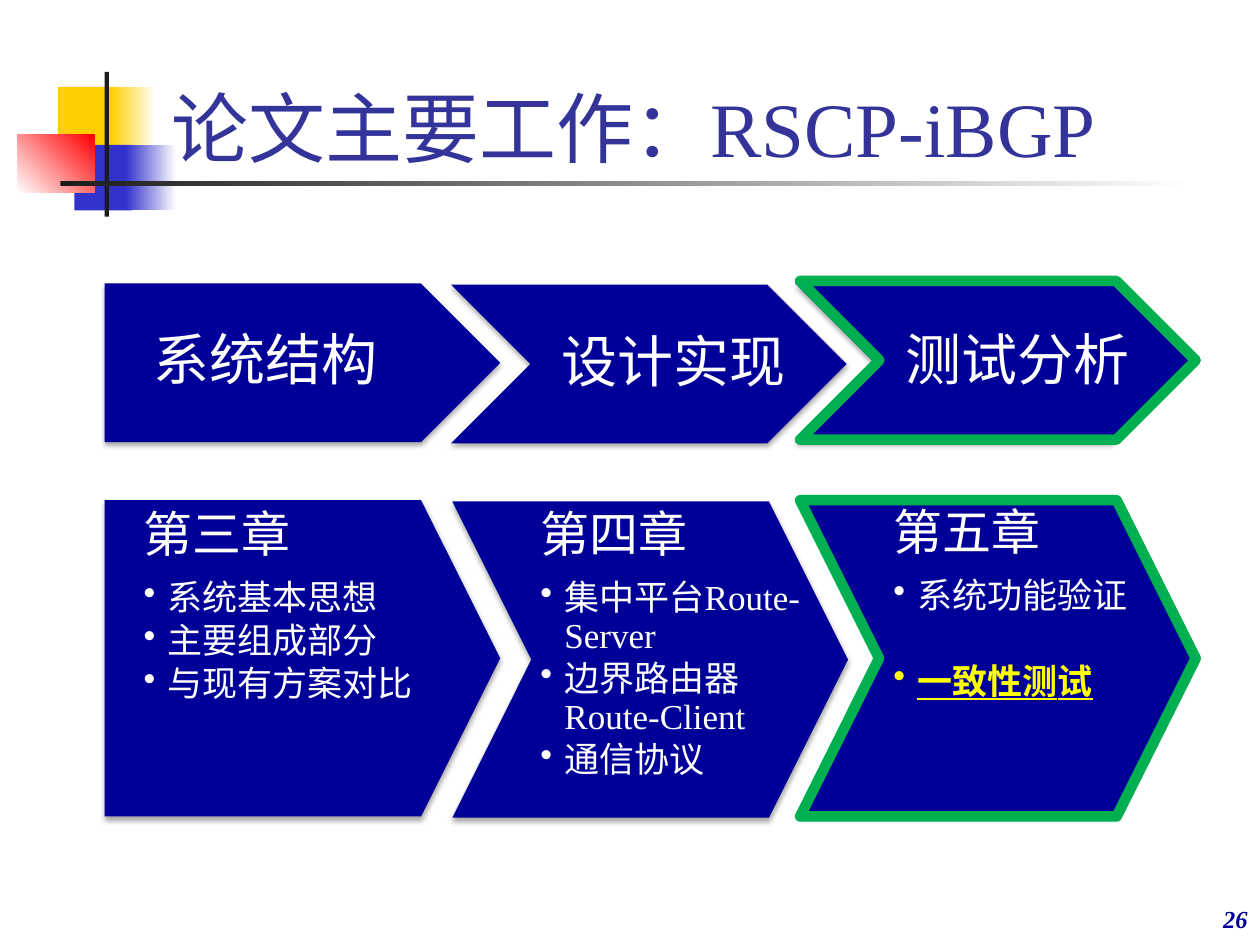
import lxml.etree
import pptx
import pptx.dml.color
import pptx.enum.shapes
import pptx.enum.text
import pptx.oxml.ns
import pptx.util

WIDE, HIGH = pptx.util.Inches(10), pptx.util.Inches(7.5)
COLS, ROWS = 100, 75
KIND = pptx.enum.shapes.MSO_SHAPE
SIDE = pptx.enum.text.PP_ALIGN
HOLD = pptx.enum.text.MSO_ANCHOR
NAVY, GREEN, WHITE, GOLD = "000099", "00B050", "FFFFFF", "FFFF00"
TIMES, KARLA = "Times New Roman", "Karla"
STEP_W, HEAD_H, BODY_H = 31.4, 12.6, 25.1


def tint(color, code):
    """Set a colour from a hex string."""
    color.rgb = pptx.dml.color.RGBColor.from_string(code)


def grid(x, y, w, h):
    """Turn columns and rows into slide lengths."""
    return [int(n * size / cells) for n, size, cells in
            ((x, WIDE, COLS), (y, HIGH, ROWS), (w, WIDE, COLS), (h, HIGH, ROWS))]


def node(host, tag, **values):
    """Add a drawing element with its attributes."""
    return lxml.etree.SubElement(host, pptx.oxml.ns.qn(tag), values)


def block(slide, kind, box, fill=None, adj=None):
    """Add a preset shape without line or shadow."""
    shape = slide.shapes.add_shape(kind, *grid(*box))
    shape.shadow.inherit = False
    shape.line.fill.background()
    if fill:
        shape.fill.solid()
        tint(shape.fill.fore_color, fill)
    else:
        shape.fill.background()
    if adj:
        shape.adjustments[0] = adj
    return shape


def fade(slide, box, start, end, angle=0):
    """Add a rectangle with a two-colour gradient."""
    shape = block(slide, KIND.RECTANGLE, box)
    shape.fill.gradient()
    shape.fill.gradient_angle = angle
    for stop, code in zip(shape.fill.gradient_stops, (start, end)):
        tint(stop.color, code)


def arrow(slide, kind, box, adj):
    """Add a navy step with a soft shadow below."""
    shape = block(slide, kind, box, NAVY, adj)
    effect = shape._element.spPr.find(pptx.oxml.ns.qn("a:effectLst"))
    shade = node(effect, "a:outerShdw", blurRad=str(pptx.util.Pt(3.1)),
                 dist=str(pptx.util.Pt(1.8)), dir="5400000", rotWithShape="0")
    node(node(shade, "a:srgbClr", val="000000"), "a:alpha", val="35000")


def ring(slide, box, adj):
    """Add a green outline with round corners."""
    shape = block(slide, KIND.CHEVRON, box, adj=adj)
    tint(shape.line.color, GREEN)
    shape.line.width = pptx.util.Pt(6)
    node(shape.line._ln, "a:round")


def frame(slide, box, hold, pads=(1, 0.5, 1, 0.5)):
    """Add a text box and return its frame."""
    text = slide.shapes.add_textbox(*grid(*box)).text_frame
    text.word_wrap = True
    text.vertical_anchor = hold
    text.margin_left, text.margin_top, text.margin_right, text.margin_bottom = grid(*pads)
    return text


def write(para, words, size, font, code=WHITE, bold=None, slant=None, under=None):
    """Add one run to a paragraph."""
    run = para.add_run()
    run.text = words
    run.font.size = pptx.util.Pt(size)
    run.font.name = font
    run.font.bold, run.font.italic, run.font.underline = bold, slant, under
    tint(run.font.color, code)


def space(para, after, before=0):
    """Set tight lines and the gaps around a paragraph."""
    para.line_spacing = 0.9
    para.space_before = pptx.util.Pt(before)
    para.space_after = pptx.util.Pt(after)


def point(text, runs, before=0, **style):
    """Add a bulleted paragraph made of several runs."""
    para = text.add_paragraph()
    space(para, 3, before)
    props = para._p.get_or_add_pPr()
    inset = pptx.util.Inches(0.19)
    props.set("marL", str(inset))
    props.set("indent", str(-inset))
    node(props, "a:buChar", char="•")
    for words, font in runs:
        write(para, words, 20, font, **style)


def logo(slide):
    """Draw the coloured corner squares and rules."""
    block(slide, KIND.RECTANGLE, (4.6, 6.9, 4.8, 5.2), "FFCF01")
    fade(slide, (8.8, 6.9, 3.6, 5.2), "FFCF01", WHITE)
    block(slide, KIND.RECTANGLE, (5.9, 11.5, 4.6, 5.2), "3333CC")
    fade(slide, (10, 11.5, 4, 5.2), "3333CC", WHITE)
    fade(slide, (1.4, 10.7, 6.1, 4.6), WHITE, "FF0000", 45)
    block(slide, KIND.RECTANGLE, (8.3, 5.7, 0.35, 11.5), "1C1C1C")
    fade(slide, (4.8, 14.35, 90, 0.4), "1C1C1C", WHITE)


def label(slide, box, words, pad):
    """Write the centred name of a step."""
    text = frame(slide, box, HOLD.MIDDLE, (pad, 0.8, 0.4, 0.8))
    para = text.paragraphs[0]
    para.alignment = SIDE.CENTER
    space(para, 11.2)
    write(para, words, 32, KARLA)


def part(slide, box, words, font, items, right=1.1):
    """Write a chapter heading and its points."""
    text = frame(slide, box, HOLD.TOP, (1.1, 0.7, right, 0.7))
    para = text.paragraphs[0]
    space(para, 9.8)
    write(para, words, 28, font)
    for runs in items:
        point(text, runs)
    return text


def main():
    """Build the slide and save it."""
    deck = pptx.Presentation()
    deck.slide_width, deck.slide_height = WIDE, HIGH
    slide = deck.slides.add_slide(deck.slide_layouts[6])
    logo(slide)
    title = frame(slide, (12.6, 1.7, 89.1, 12.5), HOLD.BOTTOM)
    write(title.paragraphs[0], "论文主要工作：", 44, TIMES, "333399")
    write(title.paragraphs[0], "RSCP-iBGP", 44, TIMES, "333399")
    page = frame(slide, (79.2, 69.6, 20.8, 5), HOLD.BOTTOM).paragraphs[0]
    page.alignment = SIDE.RIGHT
    write(page, "26", 14, TIMES, NAVY, bold=True, slant=True)

    heads = ((KIND.PENTAGON, 8.3, 22.5, "系统结构", 8.3, 24.3, 1.6),
             (KIND.CHEVRON, 35.8, 22.6, "设计实现", 42.1, 22, 1.2),
             (KIND.CHEVRON, 63.1, 22.5, "测试分析", 69.4, 22, 1.2))
    for kind, x, y, words, left, width, pad in heads:
        arrow(slide, kind, (x, y, STEP_W, HEAD_H), 0.5)
        label(slide, (left, y, width, HEAD_H), words, pad)

    bodies = (
        (KIND.PENTAGON, 8.3, 39.7, (10.3, 39.8, 30.2, BODY_H), "第三章", KARLA,
         ([("系统基本思想", KARLA)], [("主要组成部分", KARLA)],
          [("与现有方案对比", KARLA)]), 4.4),
        (KIND.CHEVRON, 35.9, 39.8, (41.8, 39.8, 24.4, BODY_H), "第四章", KARLA,
         ([("集中平台", KARLA), ("Route-Server", TIMES)],
          [("边界路由器", KARLA), ("Route-Client", TIMES)],
          [("通信协议", KARLA)]), 1.1),
        (KIND.CHEVRON, 63.5, 39.6, (69.8, 39.6, 23.4, BODY_H), "第五章", TIMES,
         ([("系统功能验证", KARLA)],), 1.1))
    for kind, x, y, box, words, font, items, right in bodies:
        arrow(slide, kind, (x, y, STEP_W, BODY_H), 0.25)
        text = part(slide, box, words, font, items, right)
    point(text, [("一致性测", KARLA), ("试", TIMES)], before=24.5,
          code=GOLD, bold=True, under=True)

    ring(slide, (63.5, 22.3, STEP_W, HEAD_H), 0.5)
    ring(slide, (63.5, 39.7, STEP_W, BODY_H), 0.25)
    deck.save("out.pptx")


if __name__ == "__main__":
    main()
